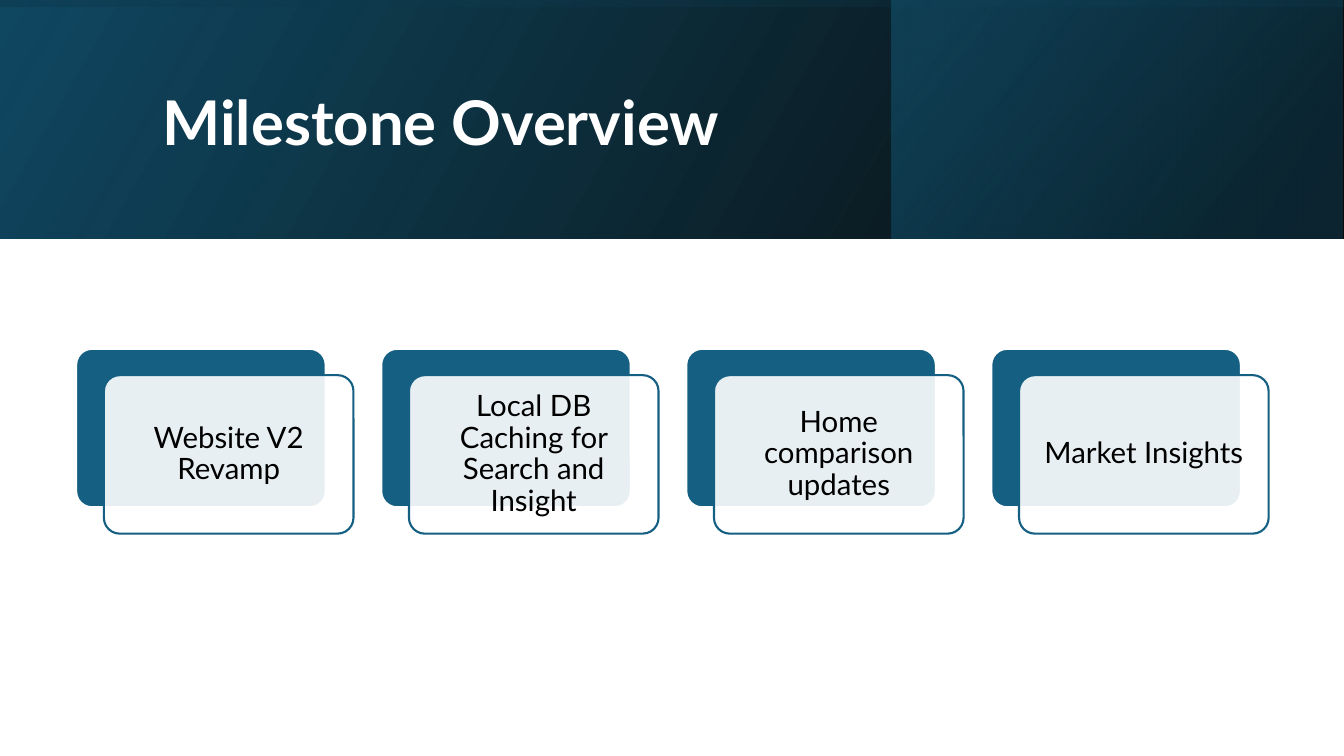
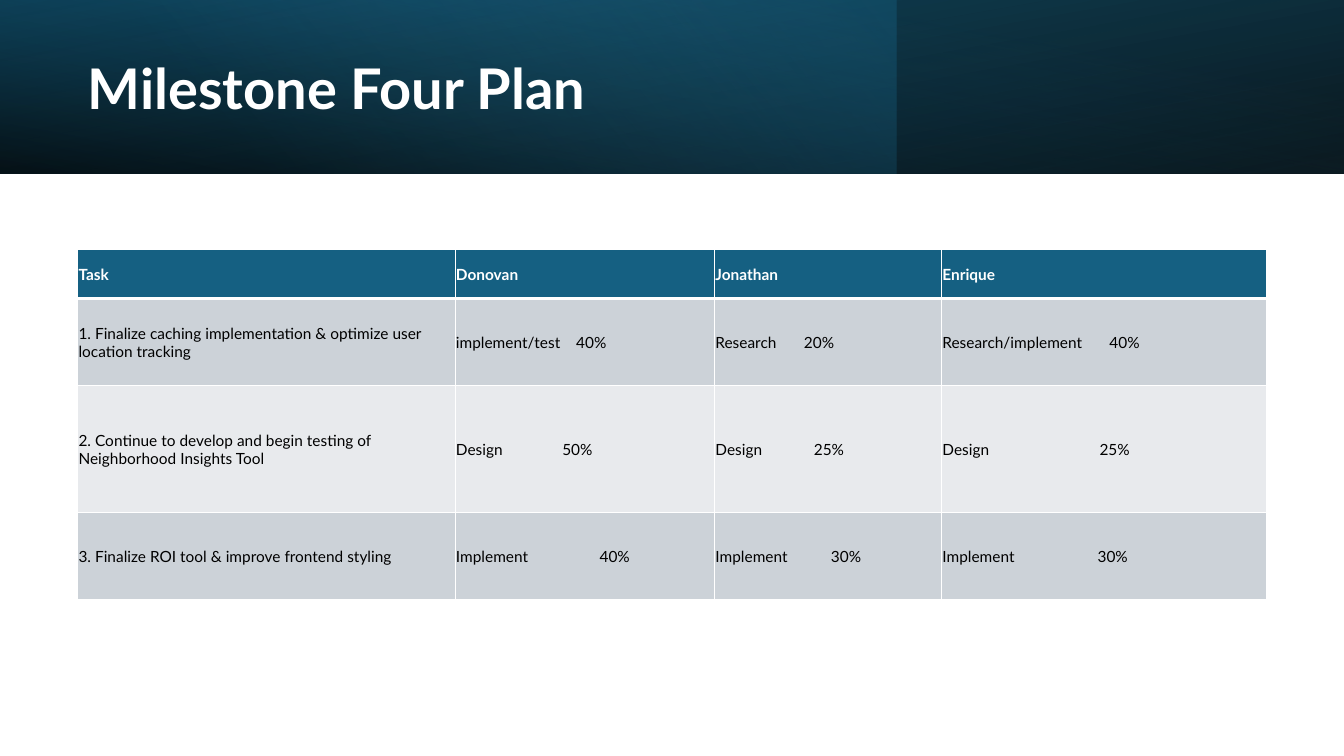
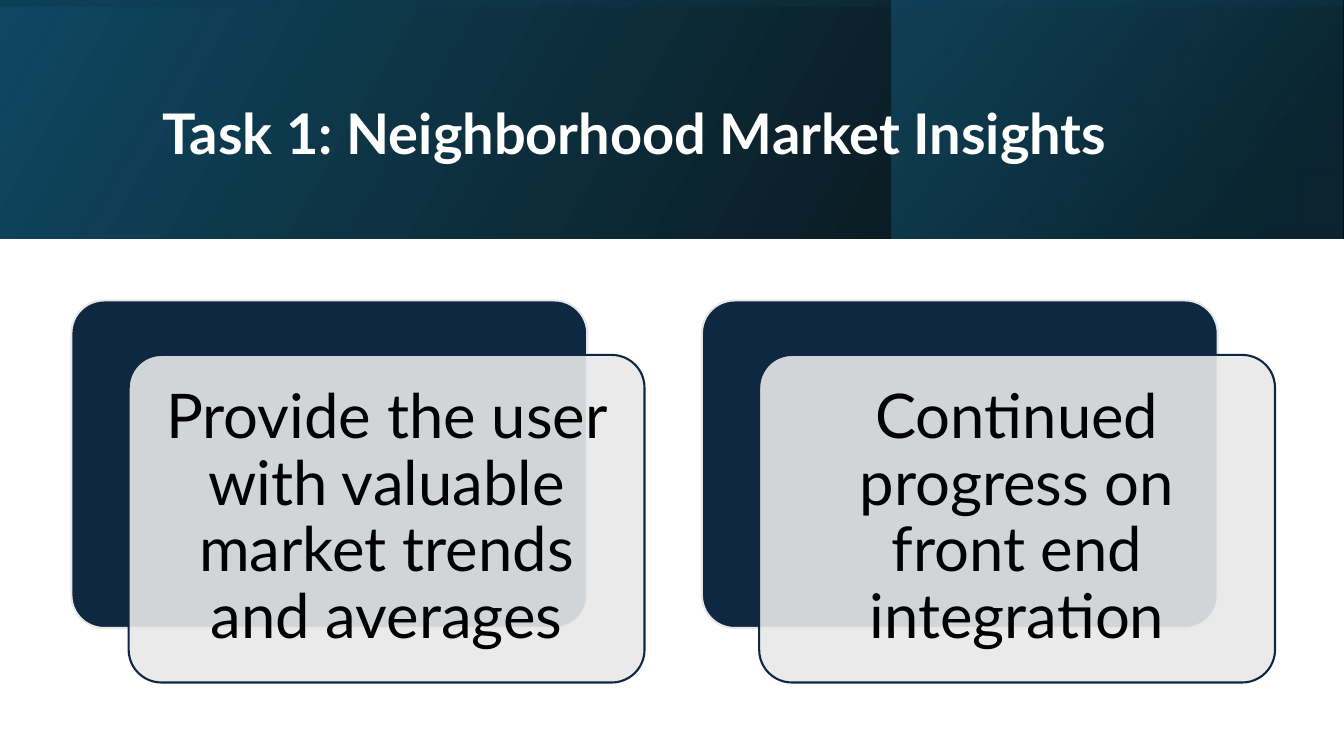
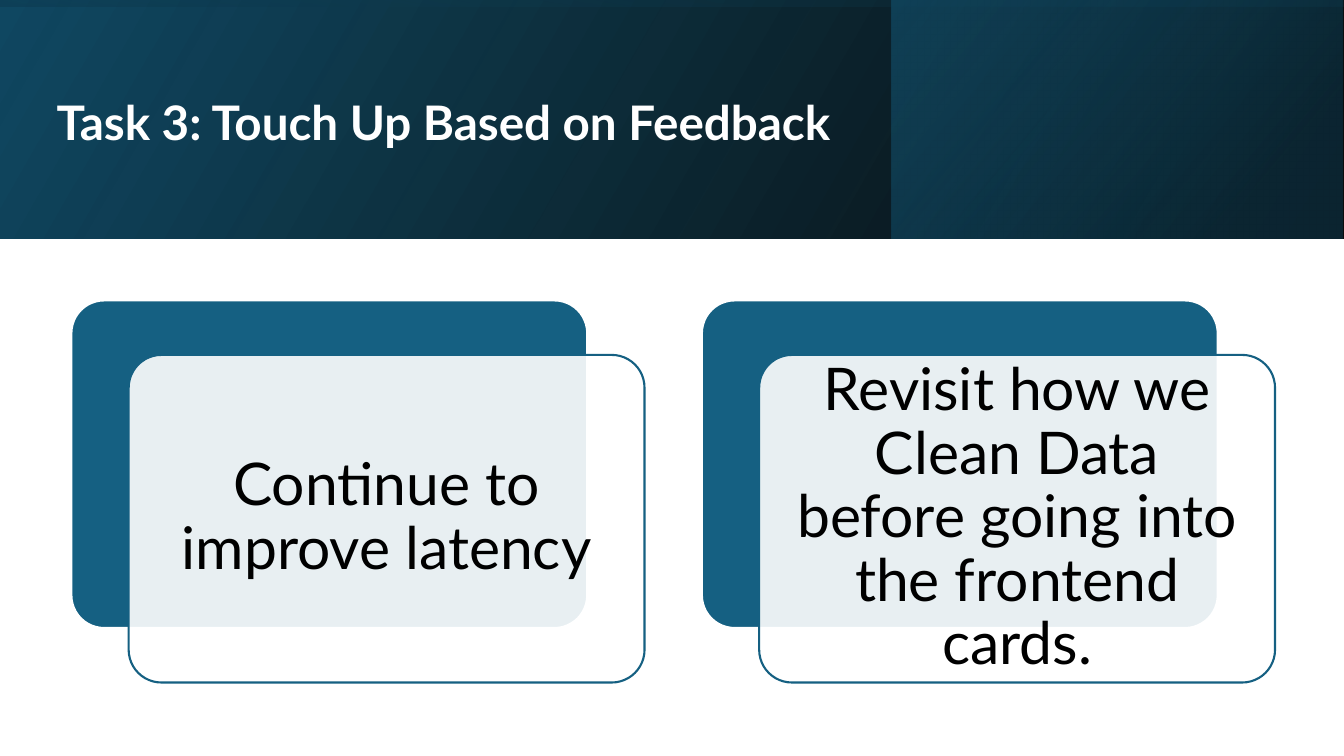
from lxml import etree
from pptx import Presentation, util as u
from pptx.dml.color import RGBColor
from pptx.enum import shapes, text
from pptx.oxml import ns

WIDE, HIGH = 33.87, 19.05
TALL, LOW = 6.02, 4.37  # band heights

HUES = {
    "black": "000000", "white": "FFFFFF", "teal": "156082", "deep": "104862",
    "dusk": "0B3041", "sky": "46B1E1", "navy": "0E2841", "mist": "E8E8E8",
    "grey": "CCD2D8", "pale": "E8EAED",
}

# Bands: box, two stops (position, hue, opacity), clockwise angle, turn, mirrored
TALL_BANDS = [
    ((0, 0, WIDE, TALL), [(0, "black", 96), (100, "deep", 100)], 330, 0, True),
    ((22.46, 0, 11.38, TALL), [(19, "dusk", 68), (100, "teal", 48)], 320, 0, True),
    (((WIDE - TALL) / 2, (TALL - WIDE) / 2, TALL, WIDE),
     [(23, "deep", 16), (99, "black", 45)], 350, 270, True),
]
LOW_BANDS = [
    ((0, 0, WIDE, LOW), [(0, "black", 96), (100, "deep", 100)], 100, 180, True),
    ((0, 0, 22.58, LOW), [(0, "teal", 41), (74, "sky", 0)], 140, 0, False),
    ((0, 0, WIDE, LOW), [(0, "black", 63), (78, "teal", 15)], 260, 0, True),
]


def hue(name):
    return RGBColor.from_string(HUES[name])


def box(*sides):
    return [u.Cm(side) for side in sides]


class Deck:
    font = "Lato"

    def __init__(self):
        self.prs = Presentation()
        self.prs.slide_width, self.prs.slide_height = box(WIDE, HIGH)
        self.slide = None

    def style(self, para, size, color, bold=False):
        for run in para.runs:
            font = run.font
            font.name, font.size, font.bold = self.font, u.Pt(size), bold
            font.color.rgb = hue(color)

    def fade(self, shape, *levels):
        """Set the opacity of the shape's colours, in order, in percent."""
        for node, level in zip(shape._element.iter(ns.qn("a:srgbClr")), levels):
            etree.SubElement(node, ns.qn("a:alpha")).set("val", str(level * 1000))

    def shape(self, kind, sides):
        item = self.slide.shapes.add_shape(kind, *box(*sides))
        item.shadow.inherit = False
        return item

    def band(self, sides, stops, angle, turn, mirror):
        item = self.shape(shapes.MSO_SHAPE.RECTANGLE, sides)
        item.line.fill.background()
        item.rotation = turn
        if mirror:
            item._element.spPr.xfrm.set("flipH", "1")
        item.fill.gradient()
        item.fill.gradient_angle = 360 - angle
        for stop, (place, color, _) in zip(item.fill.gradient_stops, stops):
            stop.position = place / 100
            stop.color.rgb = hue(color)
        self.fade(item, *(level for _, _, level in stops))

    def page(self, words, sides, size, bands):
        """Start a slide: gradient bands with the title above them."""
        self.slide = self.prs.slides.add_slide(self.prs.slide_layouts[5])
        for band in bands:
            self.band(*band)
        title = self.slide.shapes.title
        self.slide.shapes._spTree.append(title._element)
        title.left, title.top, title.width, title.height = box(*sides)
        frame = title.text_frame
        frame.text = words
        frame.auto_size = text.MSO_AUTO_SIZE.NONE
        frame.vertical_anchor = text.MSO_ANCHOR.MIDDLE
        para = frame.paragraphs[0]
        para.alignment, para.line_spacing = text.PP_ALIGN.LEFT, 0.9
        self.style(para, size, "white", True)

    def plate(self, sides, fill, line):
        item = self.shape(shapes.MSO_SHAPE.ROUNDED_RECTANGLE, sides)
        item.adjustments[0] = 0.1
        item.fill.solid()
        item.fill.fore_color.rgb = hue(fill)
        item.line.color.rgb = hue(line)
        item.line.width = u.Pt(1.5)
        return item

    def cards(self, labels, left, top, wide, size, inset, dark="teal", light="white"):
        """A row of plates, each with a text card shifted right and down."""
        tall, shift, drop = wide * 0.635, wide / 9, wide * 0.1056
        for i, label in enumerate(labels):
            x = left + i * (wide + 2 * shift)
            self.plate((x, top, wide, tall), dark, light)
            card = self.plate((x + shift, top + drop, wide, tall), light, dark)
            self.fade(card, 90)
            frame = card.text_frame
            frame.text, frame.word_wrap = label, True
            frame.vertical_anchor = text.MSO_ANCHOR.MIDDLE
            frame.margin_left = frame.margin_right = u.Cm(inset)
            frame.margin_top = frame.margin_bottom = u.Cm(inset)
            para = frame.paragraphs[0]
            para.alignment, para.line_spacing = text.PP_ALIGN.CENTER, 0.9
            self.style(para, size, "black")

    def edges(self, cell, base):
        """White cell borders, the lower one of the given weight."""
        props = cell._tc.get_or_add_tcPr()
        for i, (side, wide) in enumerate(zip("LRTB", (1, 1, 1, base))):
            line = etree.Element(ns.qn("a:ln" + side), w=str(u.Pt(wide)))
            fill = etree.SubElement(line, ns.qn("a:solidFill"))
            etree.SubElement(fill, ns.qn("a:srgbClr"), val=HUES["white"])
            props.insert(i, line)

    def cell(self, cell, words, fill, head, stop=None):
        cell.fill.solid()
        cell.fill.fore_color.rgb = hue(fill)
        cell.vertical_anchor = text.MSO_ANCHOR.MIDDLE
        cell.margin_left = cell.margin_right = cell.margin_top = u.Cm(0.02)
        cell.margin_bottom = 0
        self.edges(cell, 3 if head else 1)
        para = cell.text_frame.paragraphs[0]
        para.text = words
        self.style(para, 11, "white" if head else "black", head)
        if stop:
            tabs = etree.SubElement(para._p.get_or_add_pPr(), ns.qn("a:tabLst"))
            etree.SubElement(tabs, ns.qn("a:tab"), pos=str(u.Cm(stop)), algn="l")

    def table(self, left, top, cols, tall, head, rows):
        """The first cell of a row is a task, the others (work, share, tab stop)."""
        grid = self.slide.shapes.add_table(
            len(tall), len(cols), *box(left, top, sum(cols), sum(tall))).table
        for col, wide in zip(grid.columns, cols):
            col.width = u.Cm(wide)
        for row, high in zip(grid.rows, tall):
            row.height = u.Cm(high)
        for c, name in enumerate(head):
            self.cell(grid.cell(0, c), name, "teal", True)
        for r, (task, *parts) in enumerate(rows, 1):
            fill = "grey" if r % 2 else "pale"
            self.cell(grid.cell(r, 0), task, fill, False)
            for c, (work, share, stop) in enumerate(parts, 1):
                self.cell(grid.cell(r, c), f"{work}\t{share}", fill, False, stop)


def main():
    deck = Deck()

    # Milestones
    deck.page("Milestone Overview", (3.84, 0.97, 27, 4.37), 44, TALL_BANDS)
    deck.cards(["Website V2 Revamp", "Local DB Caching for Search and Insight",
                "Home comparison updates", "Market Insights"],
               1.92, 8.79, 6.29, 21, 0.22)

    # Work plan
    deck.page("Milestone Four Plan", (1.96, 0.69, 19.6, 3.23), 40, LOW_BANDS)
    deck.table(
        1.96, 6.29, (9.51, 6.54, 5.72, 8.2), (1.23, 2.2, 3.2, 2.2),
        ("Task", "Donovan", "Jonathan", "Enrique"),
        [("1. Finalize caching implementation & optimize user location tracking",
          ("implement/test", "40%", 3.03), ("Research", "20%", 2.23),
          ("Research/implement", "40%", 4.21)),
         ("2. Continue to develop and begin testing of Neighborhood Insights Tool",
          ("Design", "50%", 2.68), ("Design", "25%", 2.48), ("Design", "25%", 3.96)),
         ("3. Finalize ROI tool & improve frontend styling",
          ("Implement", "40%", 3.62), ("Implement", "30%", 2.91),
          ("Implement", "30%", 3.91))])

    # Tasks
    deck.page("Task 1: Neighborhood Market Insights",
              (3.84, 1.52, 26.6, 3.81), 40, TALL_BANDS)
    deck.cards(["Provide the user with valuable market trends and averages",
                "Continued progress on front end integration"],
               1.8, 7.57, 13, 44, 0.46, "navy", "mist")

    deck.page("Task 3: Touch Up Based on Feedback",
              (1.17, 0.97, 31.47, 4.37), 34, TALL_BANDS)
    deck.cards(["Continue to improve latency",
                "Revisit how we Clean Data before going into the frontend cards."],
               1.8, 7.57, 13, 42, 0.43)

    deck.prs.save("out.pptx")


if __name__ == "__main__":
    main()
